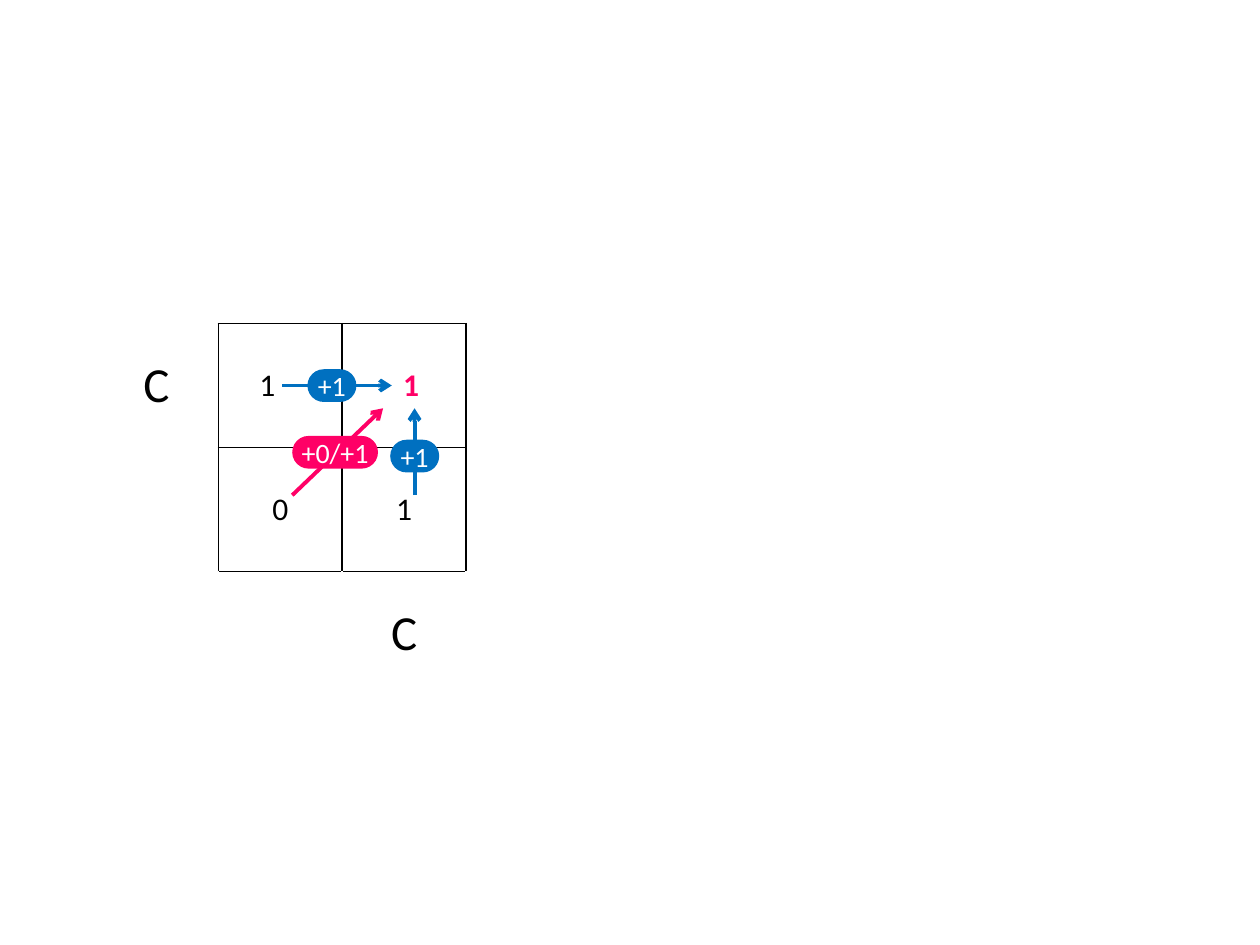
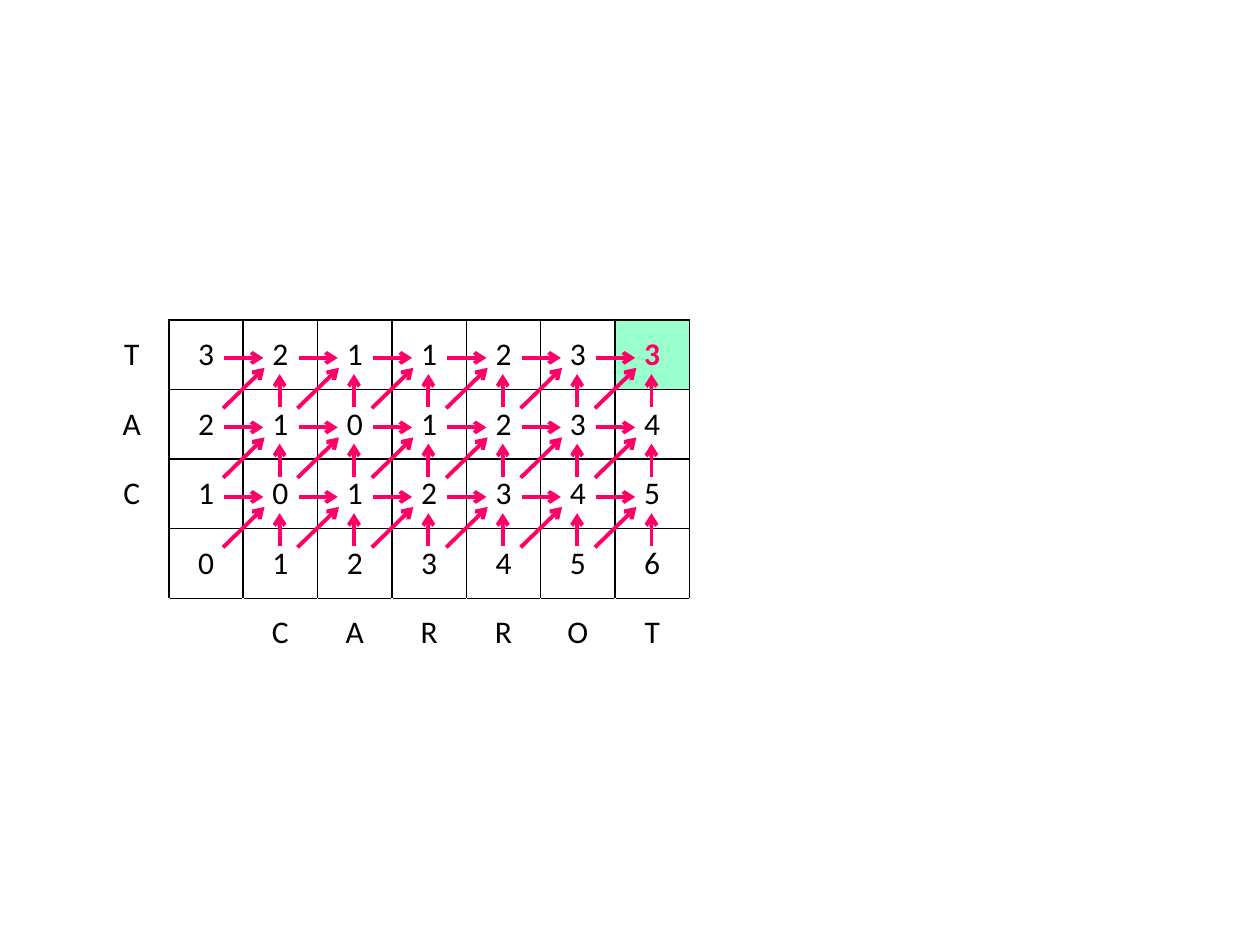
from dataclasses import dataclass

from lxml import etree
from pptx import Presentation
from pptx.dml.color import RGBColor
from pptx.enum.shapes import MSO_CONNECTOR, MSO_SHAPE
from pptx.enum.text import MSO_ANCHOR, PP_ALIGN
from pptx.oxml.ns import qn
from pptx.util import Pt

STRAIGHT = MSO_CONNECTOR.STRAIGHT
ROUNDED = MSO_SHAPE.ROUNDED_RECTANGLE
CENTER = PP_ALIGN.CENTER
LEFT = PP_ALIGN.LEFT
MIDDLE = MSO_ANCHOR.MIDDLE


@dataclass(frozen=True)
class Theme:
    """Colours, font and sizes shared by both slides."""
    font: str = "Calibri"
    black: str = "000000"
    white: str = "FFFFFF"
    pink: str = "FF0066"
    blue: str = "0070C0"
    mint: str = "99FFCC"
    number_size: int = 18
    big_label_size: int = 28
    pill_size: int = 16
    border: float = 1
    arrow: float = 2.25


theme = Theme()


def add_matrix(page, top, cell_width, cell_height, rows, label_size):
    """Add a matrix with word letters in its first column and last row."""
    row_count, column_count = len(rows), len(rows[0])
    table = page.shapes.add_table(
        row_count, column_count, Pt(54), Pt(top),
        Pt(cell_width * column_count), Pt(cell_height * row_count)).table
    table.first_row = False
    table.horz_banding = False
    for column in table.columns:
        column.width = Pt(cell_width)
    for row in table.rows:
        row.height = Pt(cell_height)

    last = row_count - 1
    for row_index, letters in enumerate(rows):
        for column_index, letter in enumerate(letters):
            cell = table.cell(row_index, column_index)
            is_side, is_foot = column_index == 0, row_index == last
            is_result = row_index == 0 and column_index == column_count - 1
            cell.vertical_anchor = MIDDLE
            cell.fill.background()
            cell.text = letter.strip()
            para = cell.text_frame.paragraphs[0]
            para.alignment = CENTER
            para.font.name = theme.font
            para.font.size = Pt(label_size if is_side or is_foot else theme.number_size)
            para.font.bold = is_result
            para.font.color.rgb = RGBColor.from_string(
                theme.pink if is_result else theme.black)

            is_number = not is_side and not is_foot
            black_edges = {
                "L": is_number,
                "R": not is_foot,
                "T": not is_side,
                "B": is_number,
            }
            properties = cell._tc.get_or_add_tcPr()
            for position, (side, is_black) in enumerate(black_edges.items()):
                edge = etree.Element(qn("a:ln" + side), w=str(Pt(theme.border)))
                fill = etree.SubElement(edge, qn("a:solidFill"))
                etree.SubElement(fill, qn("a:srgbClr"),
                                 val=theme.black if is_black else theme.white)
                properties.insert(position, edge)
    table.cell(last - 1, 0).merge(table.cell(last, 0))
    return table


def add_arrow(page, start_x, start_y, end_x, end_y, color):
    """Draw a straight arrow between two points."""
    arrow = page.shapes.add_connector(
        STRAIGHT, Pt(start_x), Pt(start_y), Pt(end_x), Pt(end_y))
    arrow.line.color.rgb = RGBColor.from_string(color)
    arrow.line.width = Pt(theme.arrow)
    etree.SubElement(arrow.line._get_or_add_ln(), qn("a:tailEnd"), type="arrow")
    etree.SubElement(arrow._element.spPr, qn("a:effectLst"))


deck = Presentation()
deck.slide_width, deck.slide_height = Pt(720), Pt(540)
blank = deck.slide_layouts[6]

# Slide 1: the three ways into one cell, with their costs
page = deck.slides.add_slide(blank)
table = add_matrix(page, 185, 70.8, 70.8, ["C11", " 01", "  C"], theme.big_label_size)
start_cell = table.cell(0, 1)
start_cell.text_frame.paragraphs[0].alignment = LEFT
start_cell.margin_left = Pt(23.5)
table.cell(0, 2).margin_left = Pt(15.3)

add_arrow(page, 167, 283, 218.9, 233.3, theme.pink)
add_arrow(page, 161.3, 220.3, 223.9, 220.3, theme.blue)
add_arrow(page, 236.9, 283, 236.9, 233.3, theme.blue)

pills = [
    ("+0/+1", 167, 249.1, 49, theme.pink, 0),
    ("+1", 223, 251.3, 28, theme.blue, 7.2),
    ("+1", 175.7, 211, 28, theme.blue, 7.2),
]
for cost, left, top, width, color, inset in pills:
    pill = page.shapes.add_shape(ROUNDED, Pt(left), Pt(top), Pt(width), Pt(18.7))
    pill.adjustments[0] = 0.5
    pill.shadow.inherit = False
    pill.fill.solid()
    pill.fill.fore_color.rgb = RGBColor.from_string(color)
    pill.line.fill.background()
    frame = pill.text_frame
    frame.text = cost
    frame.word_wrap = False
    frame.vertical_anchor = MIDDLE
    frame.margin_left = frame.margin_right = Pt(inset)
    para = frame.paragraphs[0]
    para.alignment = CENTER
    para.font.name = theme.font
    para.font.size = Pt(theme.pill_size)
    para.font.color.rgb = RGBColor.from_string(theme.white)

# Slide 2: the full matrix with every step
page = deck.slides.add_slide(blank)
matrix_top, cell_width, cell_height = 182.9, 42.5, 39.75
rows = ["T3211233", "A2101234", "C1012345", " 0123456", "  CARROT"]
table = add_matrix(page, matrix_top, cell_width, cell_height, rows, theme.number_size)
result = table.cell(0, 7)
result.fill.solid()
result.fill.fore_color.rgb = RGBColor.from_string(theme.mint)

# Start and end of each step, measured from the cell to the left of its target
steps = [
    (31.7, 21.6, 54, 21.6),
    (31, 50.4, 54.7, 27.3),
    (63.3, 49.7, 63.3, 30.9),
]
for row_index in range(3):
    for column_index in range(1, 7):
        left = 54 + column_index * cell_width
        top = matrix_top + row_index * cell_height
        for start_x, start_y, end_x, end_y in steps:
            add_arrow(page, left + start_x, top + start_y,
                      left + end_x, top + end_y, theme.pink)

deck.save("out.pptx")
